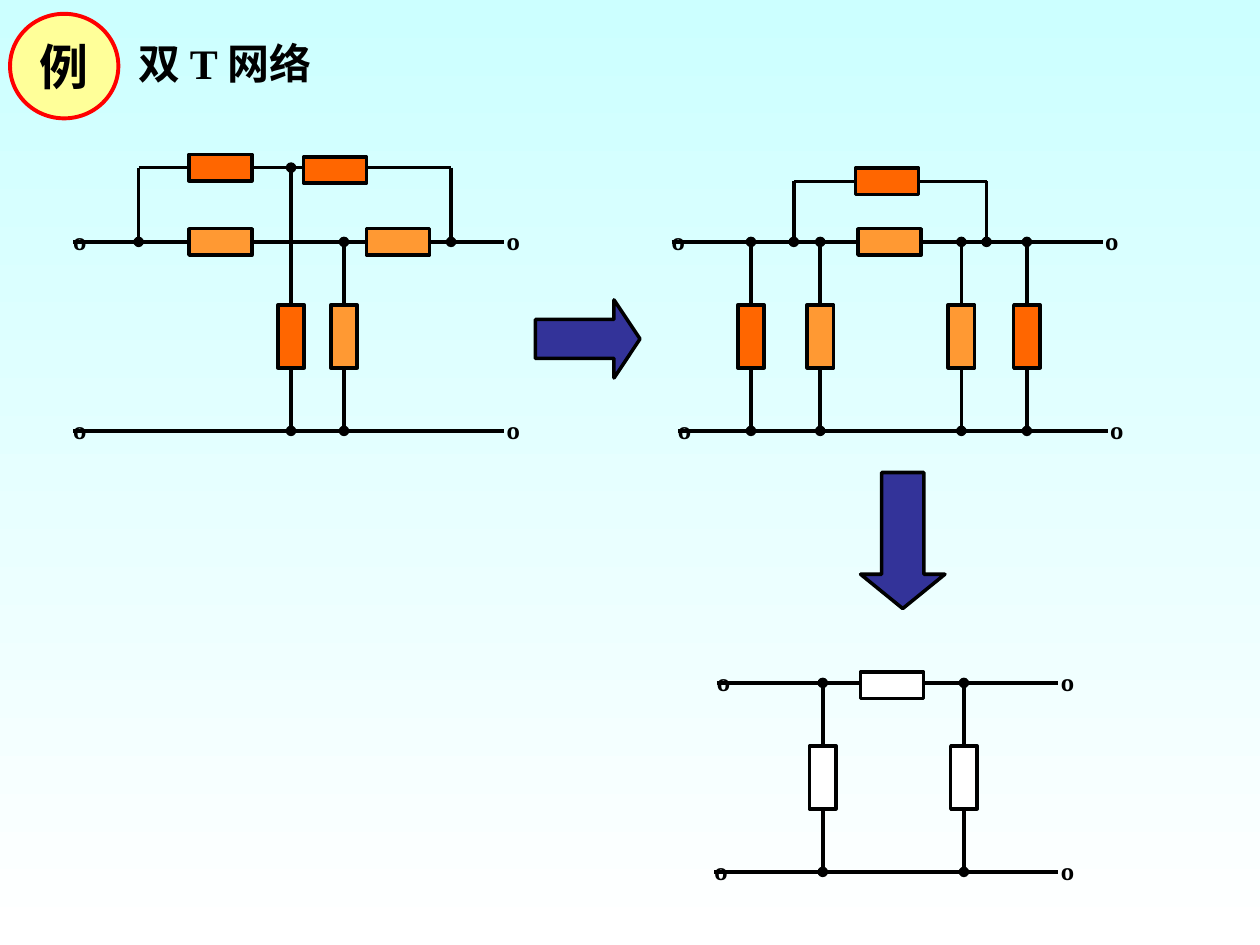
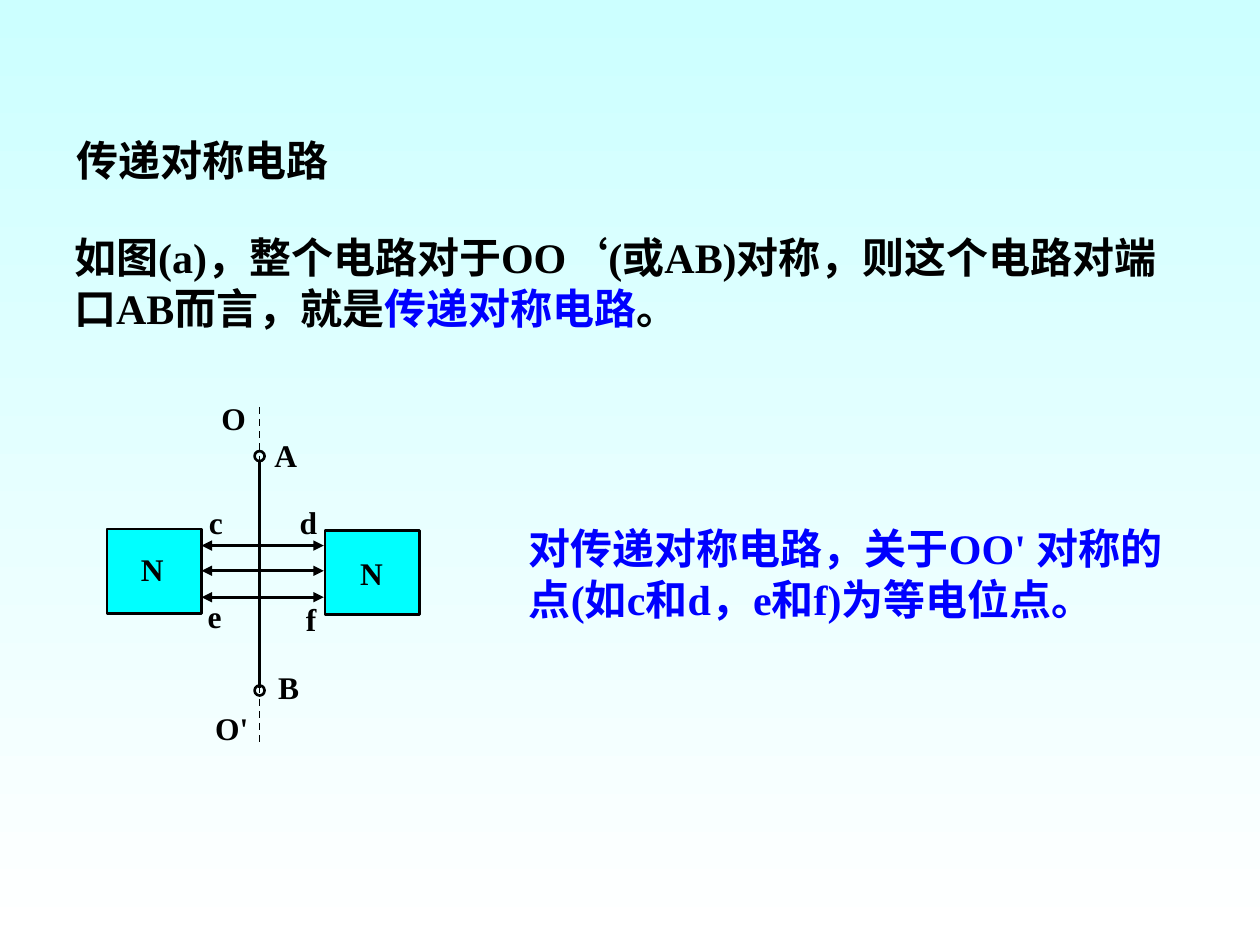
from pptx import Presentation
from pptx.dml.color import RGBColor
from pptx.enum.dml import MSO_LINE
from pptx.enum.shapes import MSO_CONNECTOR, MSO_SHAPE
from pptx.enum.text import MSO_ANCHOR, MSO_AUTO_SIZE, PP_ALIGN
from pptx.oxml.ns import qn
from pptx.util import Inches, Pt
from lxml import etree

BLACK = RGBColor(0x00, 0x00, 0x00)
WHITE = RGBColor(0xFF, 0xFF, 0xFF)
BLUE = RGBColor(0x00, 0x00, 0xFF)
INDIGO = RGBColor(0x33, 0x33, 0x99)
CYAN = RGBColor(0x00, 0xFF, 0xFF)
PALE_CYAN = RGBColor(0xCC, 0xFF, 0xFF)
ORANGE = RGBColor(0xFF, 0x66, 0x00)
LIGHT_ORANGE = RGBColor(0xFF, 0x99, 0x33)
YELLOW = RGBColor(0xFF, 0xFF, 0x99)
RED = RGBColor(0xFF, 0x00, 0x00)

FONT = "Times New Roman"
RAIL_GAP = 1.5
RESISTOR_LENGTH = 0.5
RESISTOR_WIDTH = 0.21


class CircuitDeck:
    """Holds the shared style and the slide being drawn."""

    def __init__(self):
        self.presentation = Presentation()
        self.presentation.slide_width = Inches(10)
        self.presentation.slide_height = Inches(7.5)
        self.slide = None

    def new_slide(self):
        self.slide = self.presentation.slides.add_slide(self.presentation.slide_layouts[6])
        fill = self.slide.background.fill
        fill.gradient()
        fill.gradient_angle = 270
        for stop, color in zip(fill.gradient_stops, (PALE_CYAN, WHITE)):
            stop.color.rgb = color

    # Basic elements
    def add_runs(self, paragraph, runs, size):
        for words, color in runs:
            run = paragraph.add_run()
            run.text = words
            run.font.name = FONT
            run.font.size = Pt(size)
            run.font.bold = True
            run.font.color.rgb = color

    def text(self, left, top, width, height, runs, size=24, align=None, anchor=MSO_ANCHOR.TOP):
        box = self.slide.shapes.add_textbox(
            Inches(left), Inches(top), Inches(width), Inches(height))
        frame = box.text_frame
        frame.word_wrap = True
        frame.auto_size = MSO_AUTO_SIZE.SHAPE_TO_FIT_TEXT
        frame.vertical_anchor = anchor
        paragraph = frame.paragraphs[0]
        paragraph.alignment = align
        self.add_runs(paragraph, runs, size)

    def label(self, left, top, words, width=0.46):
        self.text(left, top, width, 0.4, [(words, BLACK)], size=18)

    def shape(self, kind, left, top, width, height, color=None, line=BLACK, weight=2.0):
        shape = self.slide.shapes.add_shape(
            kind, Inches(left), Inches(top), Inches(width), Inches(height))
        shape.shadow.inherit = False
        if color is None:
            shape.fill.background()
        else:
            shape.fill.solid()
            shape.fill.fore_color.rgb = color
        shape.line.color.rgb = line
        shape.line.width = Pt(weight)
        return shape

    def arrow(self, kind, left, top, width, height, head):
        shape = self.shape(kind, left, top, width, height, INDIGO)
        shape.adjustments[0] = 0.5
        shape.adjustments[1] = head

    def badge(self, words):
        shape = self.shape(MSO_SHAPE.OVAL, 0.08, 0.11, 0.86, 0.83, YELLOW, RED, 2.25)
        frame = shape.text_frame
        frame.word_wrap = False
        frame.vertical_anchor = MSO_ANCHOR.MIDDLE
        paragraph = frame.paragraphs[0]
        paragraph.alignment = PP_ALIGN.CENTER
        self.add_runs(paragraph, [(words, BLACK)], 28)

    def line(self, x1, y1, x2, y2, weight=2.0, head=None, tail=None, dash=None):
        connector = self.slide.shapes.add_connector(
            MSO_CONNECTOR.STRAIGHT, Inches(x1), Inches(y1), Inches(x2), Inches(y2))
        connector.line.color.rgb = BLACK
        connector.line.width = Pt(weight)
        if dash:
            connector.line.dash_style = dash
        outline = connector.line._get_or_add_ln()
        for tag, end in (("a:headEnd", head), ("a:tailEnd", tail)):
            if end:
                etree.SubElement(outline, qn(tag)).set("type", end)
        etree.SubElement(connector._element.spPr, qn("a:effectLst"))

    # Circuit elements
    def resistor(self, x, y, color, upright=False):
        width, height = RESISTOR_LENGTH, RESISTOR_WIDTH
        if upright:
            width, height = height, width
        self.shape(MSO_SHAPE.RECTANGLE, x - width / 2, y - height / 2, width, height, color)

    def shunt(self, x, top, bottom, color):
        self.line(x, top, x, bottom, head="oval", tail="oval")
        self.resistor(x, bottom - RAIL_GAP / 2, color, upright=True)

    def bridge(self, left, right, y, rail):
        self.line(left, y, right, y)
        for x in (left, right):
            self.line(x, y, x, rail, tail="oval")

    def rail(self, left, right, y):
        self.line(left, y, right, y)
        for x in (left - 0.1, right - 0.08):
            self.text(x, y - 0.19, 0.2, 0.5, [("º", BLACK)],
                      align=PP_ALIGN.CENTER, anchor=MSO_ANCHOR.MIDDLE)


def draw_double_t(deck):
    deck.new_slide()
    deck.text(1, 0.25, 2.75, 0.5, [("双 T 网络", BLACK)])
    deck.badge("例")
    deck.arrow(MSO_SHAPE.RIGHT_ARROW, 4.25, 2.38, 0.83, 0.62, 0.333)
    deck.arrow(MSO_SHAPE.DOWN_ARROW, 6.83, 3.75, 0.67, 1.08, 0.406)

    upper, lower = 1.92, 1.92 + RAIL_GAP

    # Double T network
    for y in (upper, lower):
        deck.rail(0.58, 4, y)
    deck.bridge(1.1, 3.58, 1.33, upper)
    deck.shunt(2.73, upper, lower, LIGHT_ORANGE)
    deck.shunt(2.31, 1.33, lower, ORANGE)
    for x, y, color in ((1.75, upper, LIGHT_ORANGE), (3.16, upper, LIGHT_ORANGE),
                        (1.75, 1.33, ORANGE), (2.66, 1.35, ORANGE)):
        deck.resistor(x, y, color)

    # Two parallel pi networks
    deck.rail(5.33, 8.75, upper)
    deck.rail(5.38, 8.79, lower)
    deck.bridge(6.3, 7.83, 1.44, upper)
    for x, color in ((5.96, ORANGE), (6.51, LIGHT_ORANGE),
                     (7.63, LIGHT_ORANGE), (8.15, ORANGE)):
        deck.shunt(x, upper, lower, color)
    deck.resistor(7.06, upper, LIGHT_ORANGE)
    deck.resistor(7.04, 1.44, ORANGE)

    # Equivalent pi network
    upper, lower = 5.42, 5.42 + RAIL_GAP
    deck.rail(5.69, 8.4, upper)
    deck.rail(5.67, 8.4, lower)
    for x in (6.53, 7.65):
        deck.shunt(x, upper, lower, WHITE)
    deck.resistor(7.08, 5.44, WHITE)


def draw_symmetric_circuit(deck):
    deck.new_slide()

    # Definition
    deck.text(0.51, 1.02, 9.1, 0.5, [("传递对称电路", BLACK)])
    deck.text(0.49, 1.79, 9.1, 0.9, [
        ("如图(a)，整个电路对于OO‘(或AB)对称，则这个电路对端口AB而言，就是", BLACK),
        ("传递对称电路", BLUE),
        ("。", BLACK)])
    deck.text(4.1, 4.1, 5.4, 0.9, [
        ("对传递对称电路，关于OO' 对称的点(如c和d，e和f)为等电位点。", BLUE)])

    # Two halves and their links
    for left, top in ((0.85, 4.2), (2.58, 4.21)):
        deck.shape(MSO_SHAPE.RECTANGLE, left, top, 0.75, 0.67, CYAN, weight=1.5)
    for y in (4.33, 4.53, 4.74):
        deck.line(1.6, y, 2.57, y, 1.5, head="triangle", tail="triangle")

    # Axis of symmetry and port
    axis = 2.06
    deck.line(axis, 3.65, axis, 5.46, 1.5)
    for top in (3.58, 5.44):
        deck.shape(MSO_SHAPE.OVAL, axis - 0.04, top, 0.08, 0.08, weight=1.5)
    deck.line(axis, 3.23, axis, 5.9, 1, dash=MSO_LINE.DASH)

    # Labels
    for left, top, words in (
            (1.66, 3.12, "O"), (2.08, 3.41, "A"), (2.11, 5.25, "B"),
            (1.02, 4.32, "N"), (2.76, 4.35, "N"),
            (1.56, 3.94, "c"), (2.28, 3.94, "d"),
            (1.55, 4.69, "e"), (2.33, 4.71, "f")):
        deck.label(left, top, words)
    deck.label(1.61, 5.58, "O'", width=0.63)


def main():
    deck = CircuitDeck()
    draw_double_t(deck)
    draw_symmetric_circuit(deck)
    deck.presentation.save("out.pptx")


if __name__ == "__main__":
    main()
